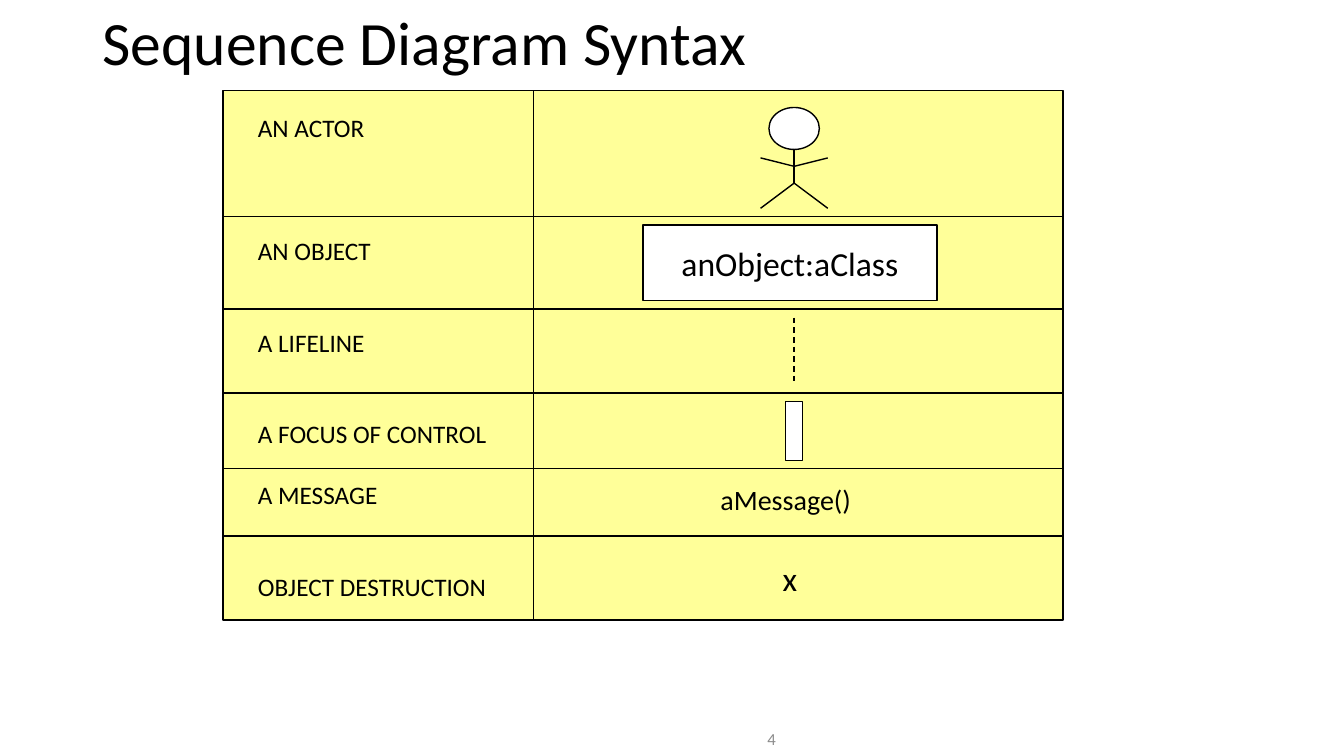
from lxml.etree import SubElement
from pptx import Presentation
from pptx.dml.color import RGBColor
from pptx.enum.dml import MSO_LINE
from pptx.enum.shapes import MSO_CONNECTOR, MSO_SHAPE
from pptx.enum.text import MSO_ANCHOR, MSO_AUTO_SIZE, PP_ALIGN
from pptx.oxml.ns import qn
from pptx.util import Inches, Pt

BLACK = RGBColor(0, 0, 0)
WHITE = RGBColor(255, 255, 255)
YELLOW = RGBColor(255, 255, 153)
GRAY = RGBColor(140, 140, 140)

COLUMNS, ROWS, DIVIDER, CENTER = 100, 63, 37, 68
ROW_LINES = [15, 26, 36, 45, 53]
LABEL_LINE = 22
LABELS = [("AN ACTOR", 0), ("AN OBJECT", 3), ("A LIFELINE", 2),
          ("A FOCUS OF CONTROL", 2), ("A MESSAGE", 1), ("OBJECT DESTRUCTION", 2)]


def write(frame, *texts, size=18, color=BLACK, align=PP_ALIGN.LEFT,
          anchor=MSO_ANCHOR.TOP, spacing=None, gaps=()):
    """Fill a text frame with one paragraph per text, in one format."""
    frame.word_wrap = True
    frame.auto_size = MSO_AUTO_SIZE.NONE
    frame.vertical_anchor = anchor
    for index, text in enumerate(texts):
        para = frame.add_paragraph() if index else frame.paragraphs[0]
        para.alignment = align
        if spacing:
            para.line_spacing = spacing
        if index and gaps:
            para.space_before = Pt(gaps[index])
        span = para.add_run()
        span.text = text
        span.font.name = "Calibri"
        span.font.size = Pt(size)
        span.font.color.rgb = color


class SyntaxSlide:
    """Draw on a page with a grid of twelfths of an inch from the chart's corner."""

    left, top, cell = 2.21, 0.9, 1 / 12

    def __init__(self, deck):
        """Add a title-only page to the deck."""
        self.page = deck.slides.add_slide(deck.slide_layouts[5])

    def point(self, column, row):
        """Turn a grid position into slide lengths."""
        return Inches(self.left + column * self.cell), Inches(self.top + row * self.cell)

    def area(self, column, row, columns, rows):
        """Turn a grid area into left, top, width and height."""
        return *self.point(column, row), Inches(columns * self.cell), Inches(rows * self.cell)

    def title(self, text, *place):
        """Move and format the title placeholder."""
        box = self.page.shapes.title
        box.left, box.top, box.width, box.height = self.area(*place)
        write(box.text_frame, text, size=44, anchor=MSO_ANCHOR.MIDDLE, spacing=0.9)

    def shape(self, kind, *place, fill=WHITE):
        """Add an outlined shape."""
        shape = self.page.shapes.add_shape(kind, *self.area(*place))
        shape.shadow.inherit = False
        shape.fill.solid()
        shape.fill.fore_color.rgb = fill
        shape.line.color.rgb = BLACK
        shape.line.width = Pt(1)
        return shape

    def line(self, start, end, dash=None):
        """Add a straight line between two grid points."""
        line = self.page.shapes.add_connector(
            MSO_CONNECTOR.STRAIGHT, *self.point(*start), *self.point(*end))
        line.line.color.rgb = BLACK
        line.line.width = Pt(1)
        if dash:
            line.line.dash_style = dash
        SubElement(line._element.spPr, qn("a:effectLst"))

    def text(self, place, *texts, **style):
        """Add a text box."""
        box = self.page.shapes.add_textbox(*self.area(*place))
        write(box.text_frame, *texts, **style)

    def chart_grid(self):
        """Draw the yellow frame with its dividing lines."""
        self.shape(MSO_SHAPE.RECTANGLE, 0, 0, COLUMNS, ROWS, fill=YELLOW)
        self.line((DIVIDER, 0), (DIVIDER, ROWS))
        for row in ROW_LINES:
            self.line((0, row), (COLUMNS, row))

    def actor(self):
        """Draw the stick figure."""
        self.shape(MSO_SHAPE.OVAL, CENTER - 3, 2, 6, 5)
        self.line((CENTER, 7), (CENTER, 11))
        for side in (-4, 4):
            self.line((CENTER + side, 8), (CENTER, 9))
            self.line((CENTER, 11), (CENTER + side, 14))


def main():
    """Build and save the deck."""
    deck = Presentation()
    deck.slide_width, deck.slide_height = Inches(13.33), Inches(7.5)
    slide = SyntaxSlide(deck)
    slide.title("Sequence Diagram Syntax", -15.5, -10.8, 138, 10.8)
    slide.chart_grid()
    slide.text((3, 2, 31, 59.4), *[label for label, _ in LABELS],
               gaps=[blank * LABEL_LINE for _, blank in LABELS])
    slide.actor()
    object_box = slide.shape(MSO_SHAPE.RECTANGLE, 50, 16, 35, 9)
    write(object_box.text_frame, "anObject:aClass", size=24,
          align=PP_ALIGN.CENTER, anchor=MSO_ANCHOR.MIDDLE)
    slide.line((CENTER, 27), (CENTER, 35), dash=MSO_LINE.DASH)
    slide.shape(MSO_SHAPE.RECTANGLE, CENTER - 1, 37, 2, 7)
    slide.text((55, 46, 24, 5.25), "aMessage()", size=20, align=PP_ALIGN.CENTER)
    slide.text((65, 55, 5, 6), "x", size=24, align=PP_ALIGN.CENTER)
    slide.text((40, 75.2, 27, 4), "4", size=12, color=GRAY,
               align=PP_ALIGN.RIGHT, anchor=MSO_ANCHOR.MIDDLE)
    deck.save("out.pptx")


if __name__ == "__main__":
    main()
